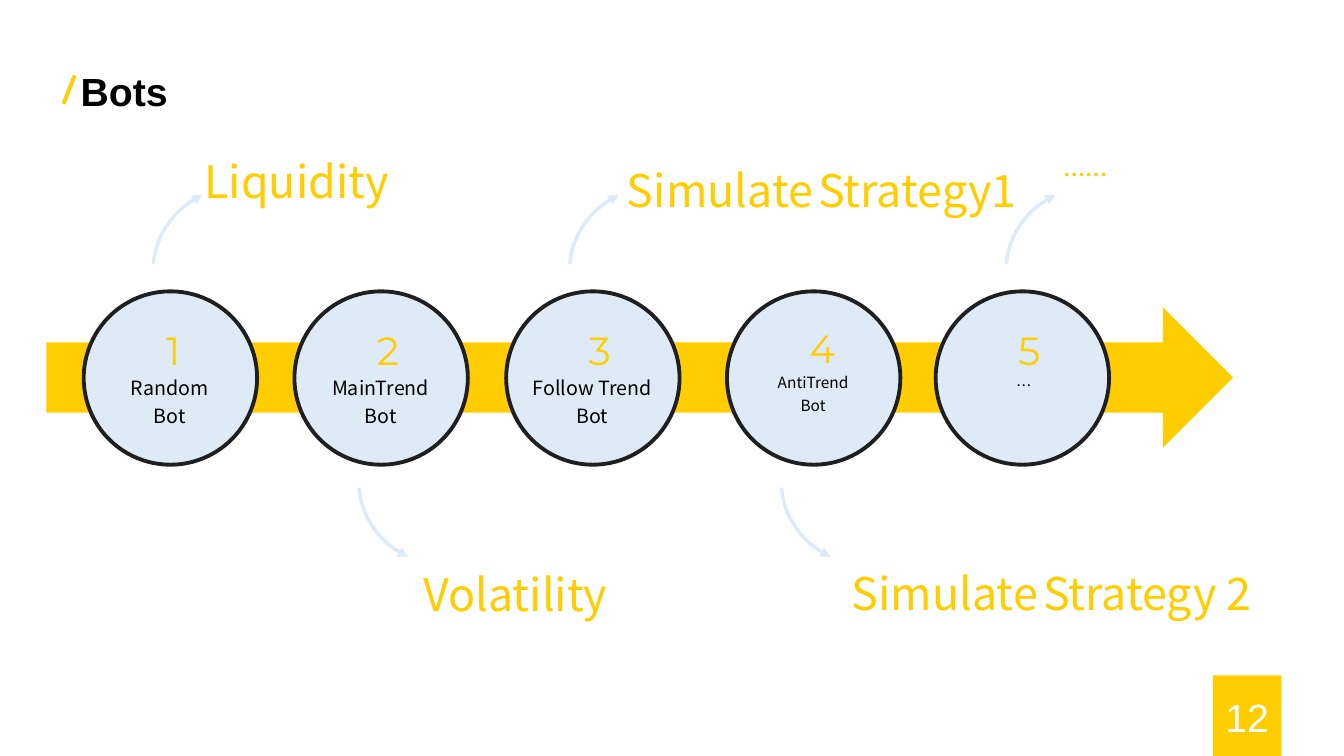
"""Build the slide that lists the trading bots along an arrow."""
from dataclasses import dataclass

from lxml import etree
from pptx import Presentation
from pptx.dml.color import RGBColor
from pptx.enum.shapes import MSO_CONNECTOR as Connector, MSO_SHAPE as Shape
from pptx.enum.text import MSO_ANCHOR as Anchor, MSO_AUTO_SIZE as AutoSize, PP_ALIGN as Align
from pptx.oxml.ns import qn
from pptx.util import Pt

PX = 9144
YELLOW, PALE, DARK = "FFCD00", "DEEBF7", "1F1F1F"
BLACK, WHITE = "000000", "FFFFFF"
SANS, DIGITS, PLAIN = "Noto Sans CJK SC", "Montserrat", "Arial"
CIRCLE_TOP, CIRCLE_SIZE = 289, 172
ARC_WIDTH, ARC_HEIGHT, ARC_ANGLES = 195, 170, (109.734, 141.981)
ARC_TOP_ABOVE, ARC_TOP_BELOW = 182, 394


@dataclass(frozen=True)
class Span:
    """A piece of text with one size and weight."""
    text: str
    size: int = 32
    bold: bool = False


@dataclass(frozen=True)
class Bot:
    """A numbered circle on the arrow."""
    left: int
    name: str
    size: int = 14
    label_left: int = 9
    label_top: int = 363
    number_top: int = 319


@dataclass(frozen=True)
class Callout:
    """A curved arrow and the purpose it points to."""
    arc_left: int
    text_left: int
    text_top: int
    width: int
    spans: tuple
    below: bool = False


BOTS = (
    Bot(83, "Random\nBot"),
    Bot(292, "MainTrend\nBot"),
    Bot(502, "Follow Trend\nBot"),
    Bot(721, "AntiTrend\nBot", 11, label_top=362, number_top=317),
    Bot(928, "…", 11, label_left=11, label_top=365),
)
GAP = Span(" ", 16, True)
CALLOUTS = (
    Callout(152, 183, 148, 249, (Span(" Liquidity"),)),
    Callout(565, 612, 157, 465, (Span("Simulate"), GAP, Span("Strategy1"))),
    Callout(998, 1045, 155, 281, (Span("……", 16, True),)),
    Callout(775, 835, 556, 461, (Span("Simulate"), GAP, Span("Strategy 2")), True),
    Callout(356, 410, 557, 281, (Span("Volatility"),), True),
)


def px(*lengths: int) -> list:
    """Turn px lengths into EMU."""
    return [length * PX for length in lengths]


def color(value: str) -> RGBColor:
    """Turn a hex string into a colour."""
    return RGBColor.from_string(value)


def style(run, font: str, size: int, ink: str, bold: bool = False) -> None:
    """Format one run of text."""
    run.font.name, run.font.size, run.font.bold = font, Pt(size), bold
    run.font.color.rgb = color(ink)
    etree.SubElement(run.font._element, qn("a:ea"), typeface=font)


def add_shape(page, kind, box: tuple, fill: str = "", line: str = "", width: float = 2.75):
    """Add a preset shape without a shadow."""
    shape = page.shapes.add_shape(kind, *px(*box))
    shape.shadow.inherit = False
    if fill:
        shape.fill.solid()
        shape.fill.fore_color.rgb = color(fill)
    else:
        shape.fill.background()
    if line:
        shape.line.color.rgb = color(line)
        shape.line.width = Pt(width)
    else:
        shape.line.fill.background()
    return shape


def add_box(page, box: tuple):
    """Add a wrapping text box and return its frame."""
    frame = page.shapes.add_textbox(*px(*box)).text_frame
    frame.word_wrap = True
    frame.auto_size = AutoSize.SHAPE_TO_FIT_TEXT
    return frame


def fill_text(frame, text: str, font: str, size: int, ink: str, spacing: float = 1.0) -> None:
    """Fill a frame with centred text in one style."""
    frame.text = text
    for para in frame.paragraphs:
        para.alignment, para.line_spacing = Align.CENTER, spacing
        for run in para.runs:
            style(run, font, size, ink)


def add_title(page) -> None:
    """Set the title and the slash before it."""
    title = page.shapes.title
    title.left, title.top, title.width, title.height = px(70, 62, 577, 57)
    frame = title.text_frame
    frame.text = "Bots"
    frame.vertical_anchor = Anchor.MIDDLE
    frame.auto_size = AutoSize.NONE
    frame.paragraphs[0].alignment = Align.LEFT
    style(frame.paragraphs[0].runs[0], PLAIN, 28, BLACK, True)
    slash = page.shapes.add_connector(Connector.STRAIGHT, *px(74, 75, 63, 103))
    slash.line.color.rgb = color(YELLOW)
    slash.line.width = Pt(2.75)
    etree.SubElement(slash._element.spPr, qn("a:effectLst"))


def add_bot(page, number: int, bot: Bot) -> None:
    """Draw a circle with its number and name."""
    add_shape(page, Shape.OVAL, (bot.left, CIRCLE_TOP, CIRCLE_SIZE, CIRCLE_SIZE), PALE, DARK)
    digit = add_box(page, (bot.left + 72, bot.number_top, 28, 57))
    fill_text(digit, str(number), DIGITS, 28, YELLOW)
    label = add_box(page, (bot.left + bot.label_left, bot.label_top, 153, 67))
    fill_text(label, bot.name, SANS, bot.size, BLACK, 1.2)


def add_callout(page, callout: Callout) -> None:
    """Draw a curved arrow and its text."""
    top = ARC_TOP_BELOW if callout.below else ARC_TOP_ABOVE
    arc = add_shape(page, Shape.ARC, (callout.arc_left, top, ARC_WIDTH, ARC_HEIGHT),
                    line=PALE, width=2.5)
    for index, angle in enumerate(ARC_ANGLES):
        arc.adjustments[index] = angle
    properties = arc._element.spPr
    etree.SubElement(properties.find(qn("a:ln")), qn("a:tailEnd"), type="triangle")
    if callout.below:
        properties.find(qn("a:xfrm")).set("flipV", "1")
    frame = add_box(page, (callout.text_left, callout.text_top, callout.width, 64))
    for span in callout.spans:
        run = frame.paragraphs[0].add_run()
        run.text = span.text
        style(run, SANS, span.size, YELLOW, span.bold)


def main() -> None:
    """Build and save the deck."""
    deck = Presentation()
    deck.slide_width, deck.slide_height = px(1333, 750)
    page = deck.slides.add_slide(deck.slide_layouts.get_by_name("Title Only"))
    add_title(page)
    add_shape(page, Shape.RIGHT_ARROW, (46, 305, 1177, 139), YELLOW)
    for number, bot in enumerate(BOTS, 1):
        add_bot(page, number, bot)
    for callout in CALLOUTS:
        add_callout(page, callout)
    badge = add_shape(page, Shape.RECTANGLE, (1203, 670, 68, 82), YELLOW)
    badge.text_frame.vertical_anchor = Anchor.MIDDLE
    fill_text(badge.text_frame, "12", PLAIN, 28, WHITE)
    deck.save("out.pptx")


if __name__ == "__main__":
    main()
